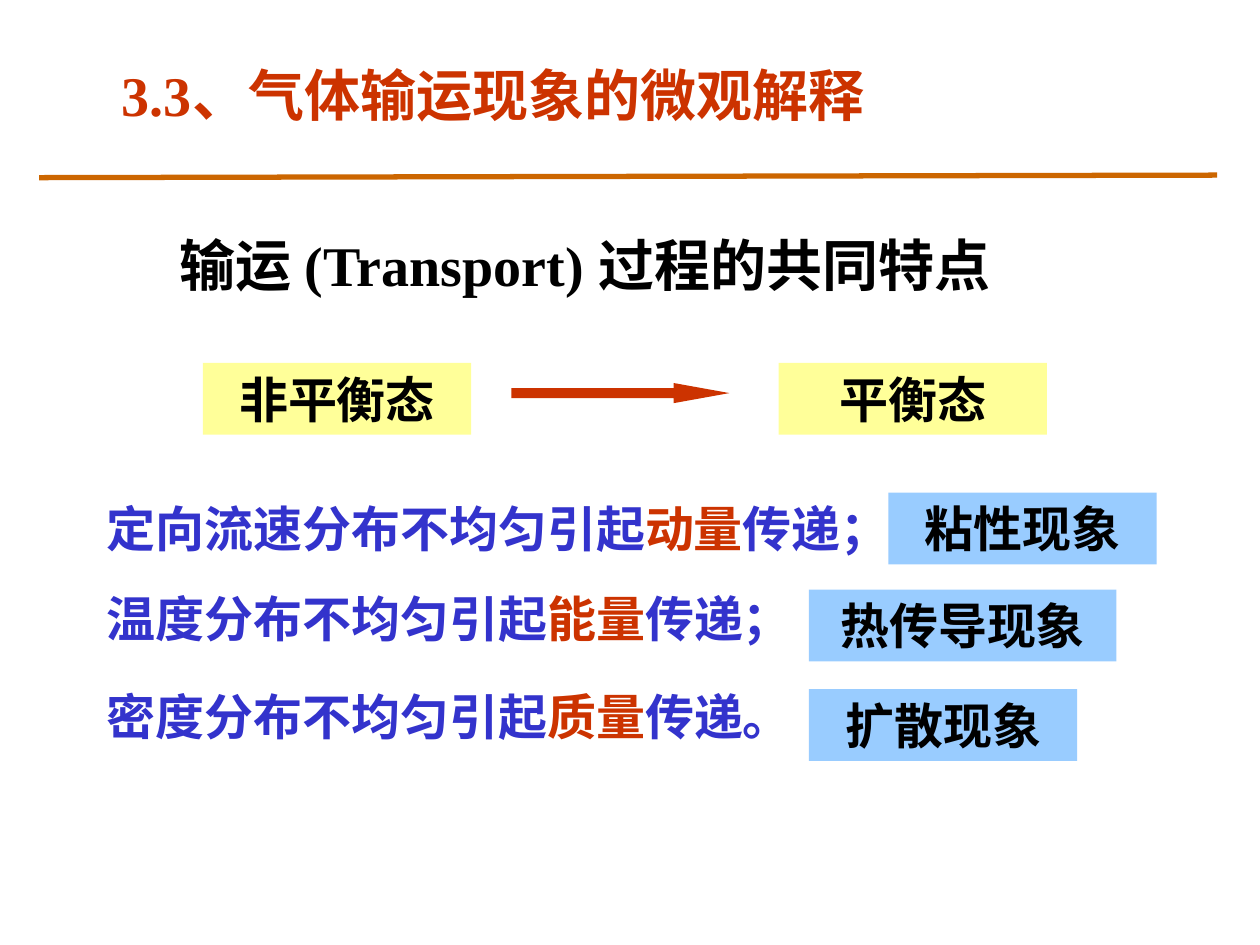
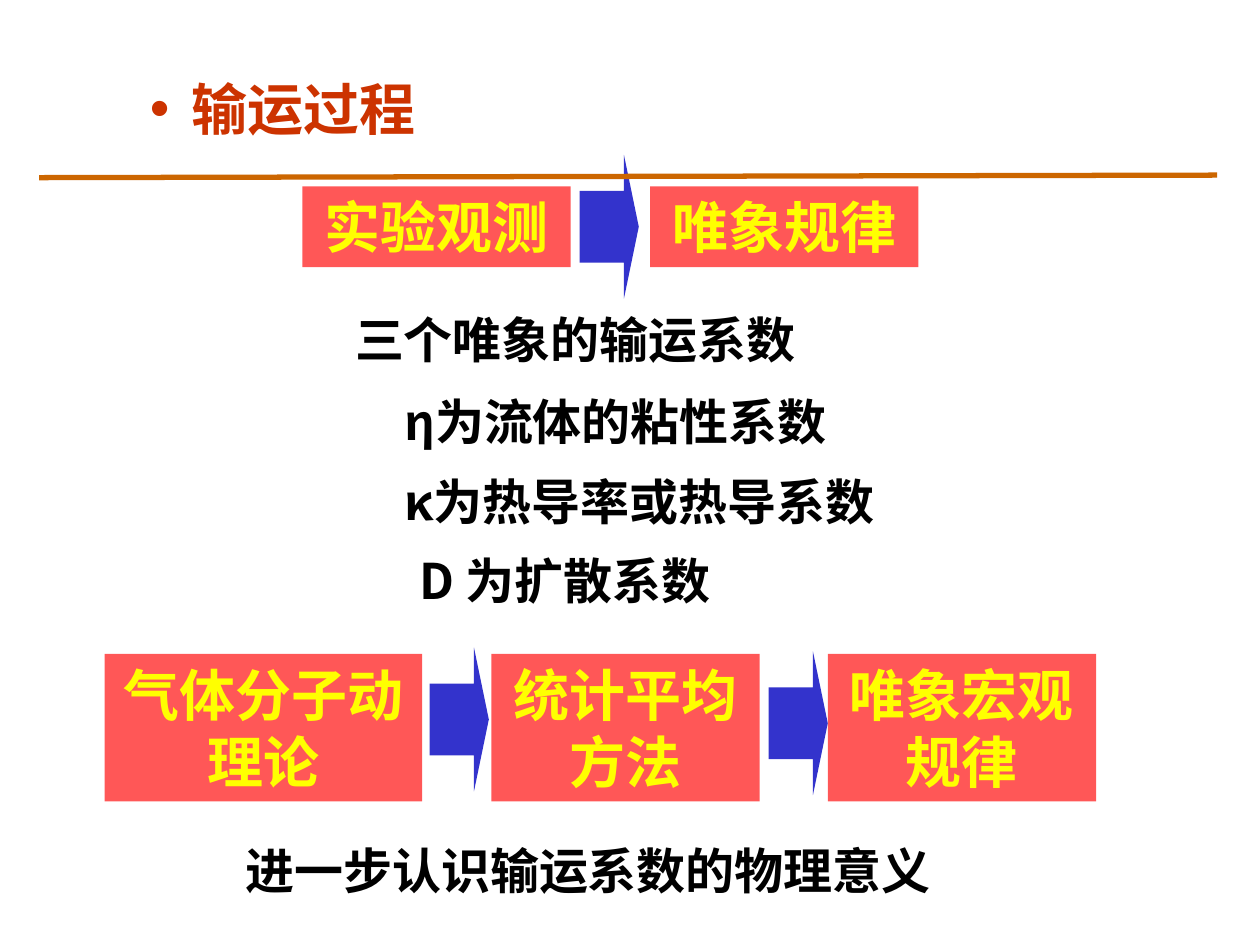
"""Build two slides on the microscopic explanation of transport in gases."""
from dataclasses import dataclass

from lxml import etree
from pptx import Presentation
from pptx import util as u
from pptx.dml import color as dml
from pptx.enum import shapes, text
from pptx.oxml import ns

SERIF, SANS, CJK = "Times New Roman", "Arial", "Noto Sans CJK SC"
BLACK, RED, BLUE, ORANGE = "000000", "CC3300", "3333CC", "CC6600"
YELLOW, CREAM, SKY, SCARLET = "FFFF00", "FFFF99", "99CCFF", "FF0000"
LABEL_HEIGHT, HEADING_HEIGHT, STAGE_HEIGHT = 0.57, 0.64, 1.17
LABEL_WIDTH = 2.13


@dataclass
class Phrase:
    """A stretch of text with its own font and colour."""
    words: str
    font: str = SERIF
    color: str = BLACK


@dataclass
class Label:
    """A filled box with one centred phrase."""
    words: str
    left: float
    top: float
    width: float = LABEL_WIDTH
    height: float = LABEL_HEIGHT


@dataclass
class Effect:
    """An uneven distribution, what it transfers and the phenomenon's label."""
    cause: str
    quantity: str
    ending: str
    top: float
    width: float
    label: Label


@dataclass
class Line:
    """A free line of text."""
    phrases: list[Phrase]
    left: float
    top: float
    width: float
    height: float = LABEL_HEIGHT
    spacing: float = 1.0


def rgb(value: str) -> dml.RGBColor:
    """Turn a hex string into a colour."""
    return dml.RGBColor.from_string(value)


def child(parent, tag: str, **attributes: str):
    """Append a drawing element to a parent."""
    return etree.SubElement(parent, ns.qn(tag), attributes)


def write(shape, phrases: list[Phrase], *, size: int = 28, centred: bool = False,
          spacing: float = 1.0, middle: bool = False, grow: bool = True,
          bullet: str = "") -> None:
    """Write formatted phrases as the one paragraph of a shape."""
    frame = shape.text_frame
    frame.word_wrap = True
    frame.auto_size = (text.MSO_AUTO_SIZE.SHAPE_TO_FIT_TEXT if grow
                       else text.MSO_AUTO_SIZE.NONE)
    frame.vertical_anchor = text.MSO_ANCHOR.MIDDLE if middle else text.MSO_ANCHOR.TOP
    paragraph = frame.paragraphs[0]
    paragraph.alignment = text.PP_ALIGN.CENTER if centred else text.PP_ALIGN.LEFT
    paragraph.line_spacing = spacing
    if bullet:
        properties = paragraph._p.get_or_add_pPr()
        indent = u.Inches(0.33)
        properties.set("marL", str(indent))
        properties.set("indent", str(-indent))
        child(child(properties, "a:buClr"), "a:srgbClr", val=phrases[0].color)
        child(properties, "a:buFont", typeface=SANS)
        child(properties, "a:buChar", char=bullet)
    for phrase in phrases:
        run = paragraph.add_run()
        run.text = phrase.words
        run.font.size = u.Pt(size)
        run.font.bold = True
        run.font.name = phrase.font
        run.font.color.rgb = rgb(phrase.color)
        child(run._r.get_or_add_rPr(), "a:ea", typeface=CJK)


def add_solid(slide, kind, left: float, top: float, width: float, height: float,
              color: str, opacity: int = 100):
    """Add a preset shape with a plain fill and no outline."""
    shape = slide.shapes.add_shape(kind, u.Inches(left), u.Inches(top),
                                   u.Inches(width), u.Inches(height))
    shape.shadow.inherit = False
    shape.fill.solid()
    shape.fill.fore_color.rgb = rgb(color)
    shape.line.fill.background()
    if opacity < 100:
        tint = shape._element.spPr.find(ns.qn("a:solidFill"))[0]
        child(tint, "a:alpha", val=str(opacity * 1000))
    return shape


def add_label(slide, label: Label, fill: str, *, color: str = BLACK,
              font: str = SANS, size: int = 28, opacity: int = 100) -> None:
    """Draw a label box."""
    box = add_solid(slide, shapes.MSO_SHAPE.RECTANGLE, label.left, label.top,
                    label.width, label.height, fill, opacity)
    write(box, [Phrase(label.words, font, color)], size=size, centred=True)


def add_arrow(slide, left: float, top: float, width: float = 0.47,
              height: float = 1.14, color: str = BLUE, head: float = 0.25) -> None:
    """Draw a block arrow to the right."""
    arrow = add_solid(slide, shapes.MSO_SHAPE.RIGHT_ARROW, left, top, width, height, color)
    arrow.adjustments[0] = 0.5
    arrow.adjustments[1] = head


def add_line(slide, line: Line, **style) -> None:
    """Draw a free line of text."""
    box = slide.shapes.add_textbox(u.Inches(line.left), u.Inches(line.top),
                                   u.Inches(line.width), u.Inches(line.height))
    write(box, line.phrases, spacing=line.spacing, **style)


def add_rule(slide) -> None:
    """Draw the rule under the heading."""
    rule = slide.shapes.add_connector(shapes.MSO_CONNECTOR.STRAIGHT, u.Inches(0.31),
                                      u.Inches(1.41), u.Inches(9.66), u.Inches(1.39))
    rule.line.color.rgb = rgb(ORANGE)
    rule.line.width = u.Pt(3)
    child(rule._element.spPr, "a:effectLst")


def build_features(slide) -> None:
    """Build the slide on the common features of transport."""
    add_line(slide, Line([Phrase("3.3、气体输运现象的微观解释", color=RED)],
                         0.87, 0.36, 7.6, 0.77), size=32, middle=True, grow=False)
    add_line(slide, Line([Phrase("输运 (Transport) 过程的共同特点")],
                         1.06, 1.78, 7.17, HEADING_HEIGHT), size=32, centred=True)
    for state in (Label("非平衡态", 1.61, 2.88), Label("平衡态", 6.18, 2.88)):
        add_label(slide, state, CREAM)
    effects = (
        Effect("定向流速", "动量", "；", 3.91, 6.93, Label("粘性现象", 7.05, 3.91)),
        Effect("温度", "能量", "；", 4.62, 6.22, Label("热传导现象", 6.42, 4.68, 2.44)),
        Effect("密度", "质量", "。", 5.4, 6.22, Label("扩散现象", 6.42, 5.47)),
    )
    for effect in effects:
        add_label(slide, effect.label, SKY)
        add_line(slide, Line([Phrase(f"{effect.cause}分布不均匀引起", color=BLUE),
                              Phrase(effect.quantity, color=RED),
                              Phrase(f"传递{effect.ending}", color=BLUE)],
                             0.75, effect.top, effect.width))
    add_arrow(slide, 4.06, 3.04, 1.73, 0.16, RED, 2.77)
    add_rule(slide)


def build_process(slide) -> None:
    """Build the slide on the transport process."""
    stages = (
        Label("实验观测", 2.4, 1.48, height=HEADING_HEIGHT),
        Label("唯象规律", 5.16, 1.48, height=HEADING_HEIGHT),
        Label("气体分子动理论", 0.83, 5.19, 2.52, STAGE_HEIGHT),
        Label("统计平均方法", 3.9, 5.19, height=STAGE_HEIGHT),
        Label("唯象宏观规律", 6.57, 5.19, height=STAGE_HEIGHT),
    )
    for stage in stages:
        add_label(slide, stage, SCARLET, color=YELLOW, font=SERIF, size=32, opacity=66)
    lines = (
        Line([Phrase("三个唯象的"), Phrase("输运系数", SANS)], 2.72, 2.27, 4.33, 0.71, 1.3),
        Line([Phrase("η", CJK), Phrase("为流体的粘性系数")], 3.11, 3.06, 4.49),
        Line([Phrase("κ", CJK), Phrase("为热导率或热导系数")], 3.11, 3.69, 4.73),
        Line([Phrase("D ", CJK), Phrase("为扩散系数")], 3.23, 4.32, 2.84),
        Line([Phrase("进一步认识", CJK), Phrase("输运系数的物理意义")], 1.85, 6.62, 6.46),
    )
    for line in lines:
        add_line(slide, line)
    for left, top in ((3.41, 5.14), (6.1, 5.17), (4.6, 1.23)):
        add_arrow(slide, left, top)
    add_line(slide, Line([Phrase("输运过程", color=RED)], 1.09, 0.54, 6.22, HEADING_HEIGHT),
             size=32, bullet="•")
    add_rule(slide)


def main() -> None:
    """Build and save the presentation."""
    deck = Presentation()
    deck.slide_width, deck.slide_height = u.Inches(10), u.Inches(7.5)
    for build in (build_features, build_process):
        build(deck.slides.add_slide(deck.slide_layouts[6]))
    deck.save("out.pptx")


if __name__ == "__main__":
    main()
